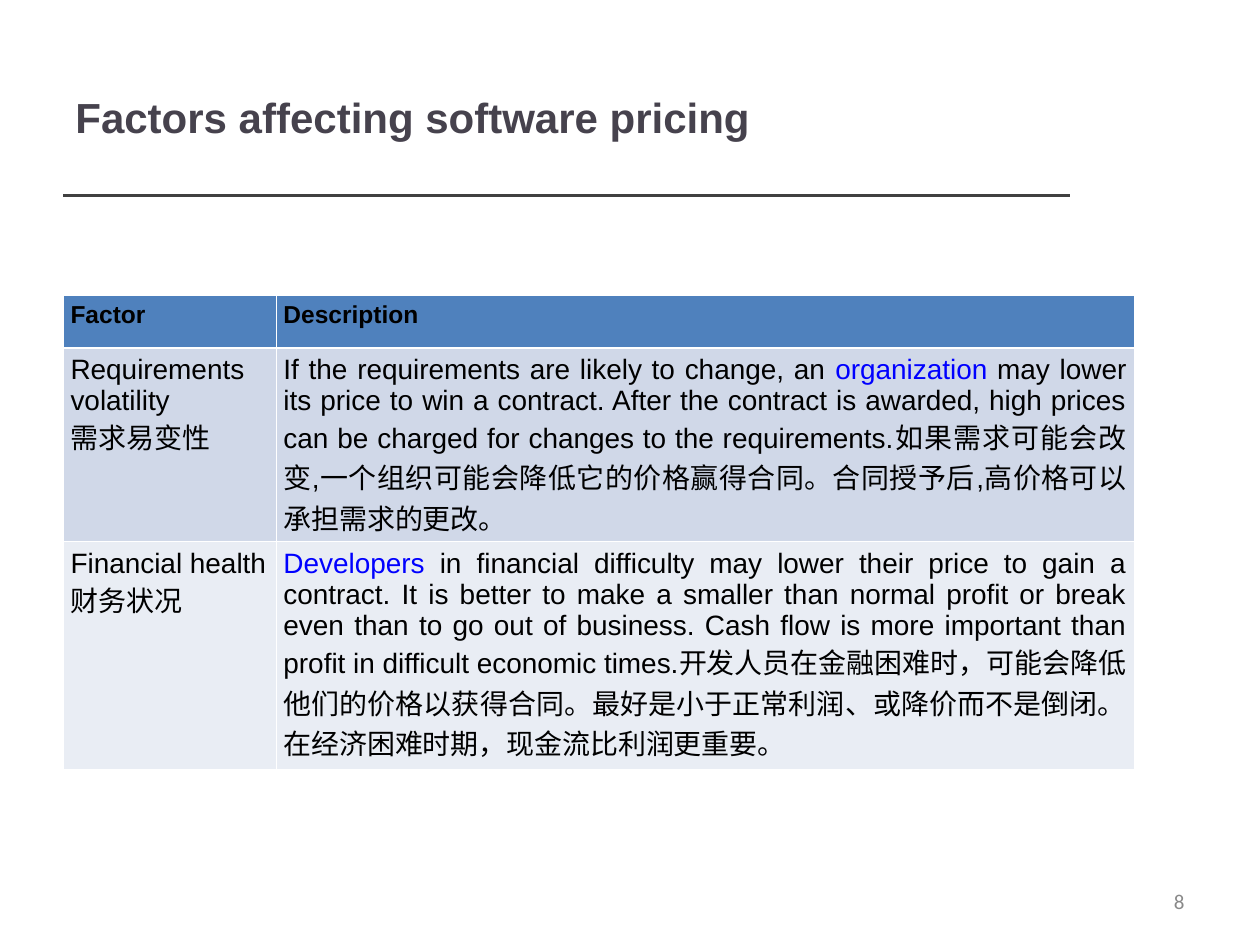
from lxml.etree import SubElement
from pptx import Presentation
from pptx.dml.color import RGBColor
from pptx.enum.shapes import MSO_CONNECTOR
from pptx.enum.text import MSO_ANCHOR, PP_ALIGN
from pptx.oxml import parse_xml
from pptx.oxml.ns import nsdecls, qn
from pptx.util import Inches, Pt

BLACK = RGBColor(0x00, 0x00, 0x00)
BLUE = RGBColor(0x00, 0x00, 0xFF)
WHITE = RGBColor(0xFF, 0xFF, 0xFF)
TITLE_INK = RGBColor(0x46, 0x42, 0x4D)
RULE_GREY = RGBColor(0x40, 0x40, 0x40)
NUMBER_GREY = RGBColor(0x89, 0x89, 0x89)
ROW_FILLS = [
    RGBColor(0x4F, 0x81, 0xBD),
    RGBColor(0xD0, 0xD8, 0xE8),
    RGBColor(0xE9, 0xED, 0xF4),
]

THIN, THICK = 0.45, 1.47
COLUMN_WIDTHS = [1.69, 6.81]
ROW_HEIGHTS = [0.42, 1.54, 1.81]

FACTOR_ROWS = [
    [[["Factor"]], [["Description"]]],
    [
        [["Requirements volatility"], ["需求易变性"]],
        [[
            "If the requirements are likely to change, an ",
            ("organization", BLUE),
            " may lower its price to win a contract. After the contract is awarded, "
            "high prices can be charged for changes to the requirements."
            "如果需求可能会改变,一个组织可能会降低它的价格赢得合同。"
            "合同授予后,高价格可以承担需求的更改。",
        ]],
    ],
    [
        [["Financial health"], ["财务状况"]],
        [[
            ("Developers", BLUE),
            " in financial difficulty may lower their price to gain a contract. "
            "It is better to make a smaller than normal profit or break even than to "
            "go out of business. Cash flow is more important than profit in difficult "
            "economic times."
            "开发人员在金融困难时，可能会降低他们的价格以获得合同。"
            "最好是小于正常利润、或降价而不是倒闭。"
            "在经济困难时期，现金流比利润更重要。",
        ]],
    ],
]


def write_text(frame, paragraphs, size, font="Arial", color=BLACK, bold=False,
               align=PP_ALIGN.LEFT):
    """Fill a text frame with plain or (text, colour) spans, punctuation kept inside."""
    frame.word_wrap = True
    for index, spans in enumerate(paragraphs):
        para = frame.paragraphs[0] if index == 0 else frame.add_paragraph()
        para.alignment = align
        para._p.get_or_add_pPr().set("hangingPunct", "0")
        for part in spans:
            text, ink = part if isinstance(part, tuple) else (part, color)
            span = para.add_run()
            span.text = text
            span.font.name = font
            span.font.size = Pt(size)
            span.font.bold = bold
            span.font.color.rgb = ink


def add_label(page, left, top, width, height, text, **style):
    """Place one vertically centred line of text."""
    box = page.shapes.add_textbox(Inches(left), Inches(top), Inches(width), Inches(height))
    box.text_frame.vertical_anchor = MSO_ANCHOR.MIDDLE
    write_text(box.text_frame, [[text]], **style)


def add_heading(page, left, top, width, height, text):
    """Place the title with the rule along its lower edge."""
    bottom = Inches(top + height)
    rule = page.shapes.add_connector(
        MSO_CONNECTOR.STRAIGHT, Inches(left), bottom, Inches(left + width), bottom)
    rule.line.color.rgb = RULE_GREY
    rule.line.width = Pt(2)
    SubElement(rule._element.spPr, qn("a:effectLst"))
    add_label(page, left, top, width, height, text, size=24, color=TITLE_INK, bold=True)


def set_borders(cell, top, bottom):
    """Draw white cell borders, with widths in points for top and bottom."""
    properties = cell._tc.get_or_add_tcPr()
    widths = {"lnL": THIN, "lnR": THIN, "lnT": top, "lnB": bottom}
    for index, (side, width) in enumerate(widths.items()):
        properties.insert(index, parse_xml(
            f'<a:{side} {nsdecls("a")} w="{Pt(width)}"><a:solidFill>'
            f'<a:srgbClr val="{WHITE}"/></a:solidFill></a:{side}>'))


def add_factor_table(page, left, top):
    """Place the table of pricing factors."""
    table = page.shapes.add_table(
        len(ROW_HEIGHTS), len(COLUMN_WIDTHS), Inches(left), Inches(top),
        Inches(sum(COLUMN_WIDTHS)), Inches(sum(ROW_HEIGHTS))).table
    for column, width in zip(table.columns, COLUMN_WIDTHS):
        column.width = Inches(width)
    for row_index, (row, height) in enumerate(zip(table.rows, ROW_HEIGHTS)):
        row.height = Inches(height)
        header = row_index == 0
        for column_index, cell in enumerate(row.cells):
            cell.margin_left = cell.margin_right = Inches(0.06)
            cell.margin_top = cell.margin_bottom = Inches(0.05)
            cell.fill.solid()
            cell.fill.fore_color.rgb = ROW_FILLS[row_index]
            set_borders(cell, top=THICK if row_index == 1 else THIN,
                        bottom=THICK if header else THIN)
            justified = header or column_index == 1
            write_text(cell.text_frame, FACTOR_ROWS[row_index][column_index],
                       size=14 if header else 16, bold=header,
                       align=PP_ALIGN.JUSTIFY if justified else PP_ALIGN.LEFT)


def main():
    """Build and save the deck."""
    deck = Presentation()
    deck.slide_width, deck.slide_height = Inches(10), Inches(7.5)
    page = deck.slides.add_slide(deck.slide_layouts[6])
    add_heading(page, 0.5, 0.3, 7.99, 1.25, "Factors affecting software pricing")
    add_factor_table(page, 0.5, 2.34)
    add_label(page, 7.17, 6.95, 2.33, 0.4, "8", size=12, font="Calibri",
              color=NUMBER_GREY, align=PP_ALIGN.RIGHT)
    deck.save("out.pptx")


if __name__ == "__main__":
    main()
